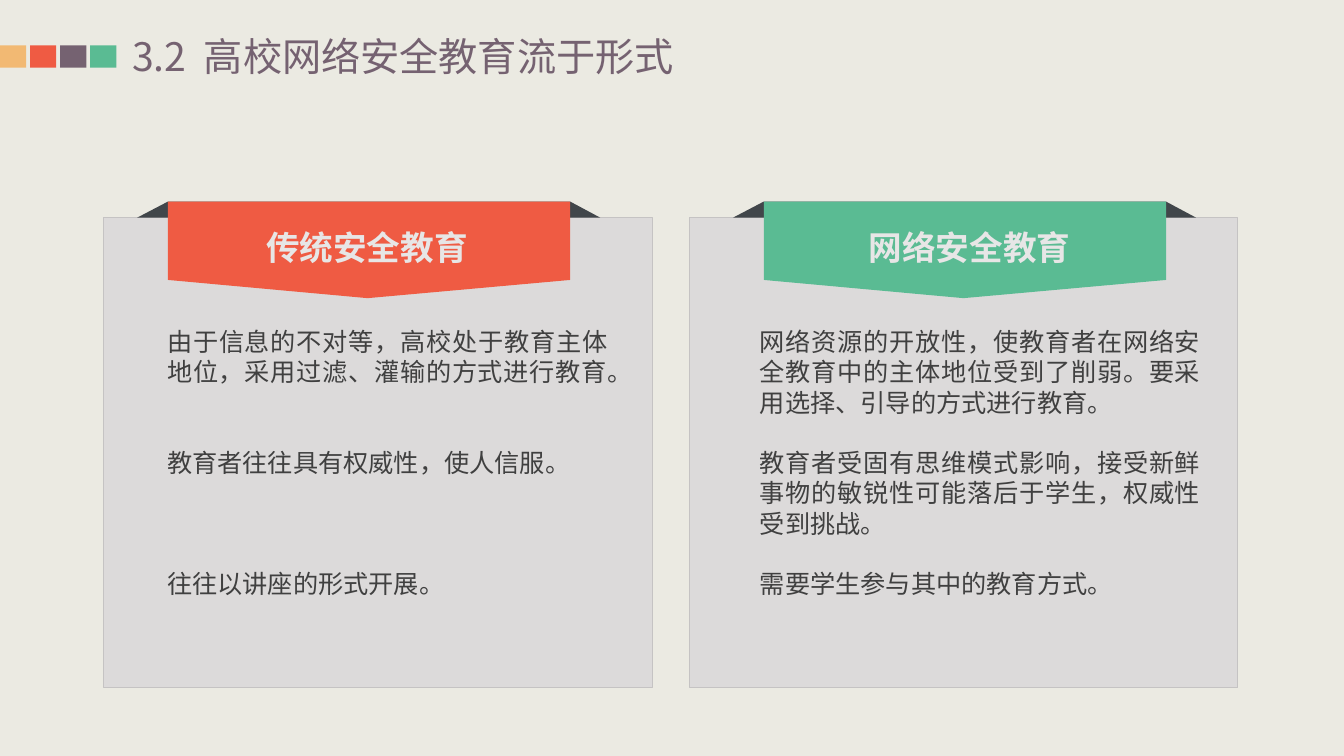
from pptx import Presentation
from pptx import util as u
from pptx.dml import color
from pptx.enum import shapes, text
from pptx.oxml import ns

Pt = u.Pt
FONT = "Noto Sans CJK SC"
COLORS = {
    "background": "EBEAE2", "yellow": "F2B973", "red": "EF5B43",
    "purple": "756271", "green": "5ABB93", "card": "DCDADA",
    "border": "C5C3C3", "fold": "41464A", "label": "E7E6E6", "body": "404040",
}
LINE = 21.6        # body line pitch
BLOCK_LINES = 4    # lines reserved for each point, so both cards align
BANNER_TOP, BANNER_WIDTH = 144, 287.3

# Each point: its wording and the number of lines it fills
COLUMNS = [
    {"color": "red", "card": 74.2, "banner": 120, "center": 262.1, "body": 112.3,
     "label": "传统安全教育",
     "points": [("由于信息的不对等，高校处于教育主体地位，采用过滤、灌输的方式进行教育。", 2),
                ("教育者往往具有权威性，使人信服。", 1),
                ("往往以讲座的形式开展。", 1)]},
    {"color": "green", "card": 492.5, "banner": 545.6, "center": 692.6, "body": 535.7,
     "label": "网络安全教育",
     "points": [("网络资源的开放性，使教育者在网络安全教育中的主体地位受到了削弱。要采用选择、引导的方式进行教育。", 3),
                ("教育者受固有思维模式影响，接受新鲜事物的敏锐性可能落后于学生，权威性受到挑战。", 3),
                ("需要学生参与其中的教育方式。", 1)]},
]


def rgb(name):
    return color.RGBColor.from_string(COLORS[name])


def paint(shape, fill, border=None):
    shape.shadow.inherit = False
    shape.fill.solid()
    shape.fill.fore_color.rgb = rgb(fill)
    if border:
        shape.line.color.rgb = rgb(border)
        shape.line.width = Pt(0.75)
    else:
        shape.line.fill.background()


def add_block(slide, left, top, width, height, fill, border=None):
    block = slide.shapes.add_shape(
        shapes.MSO_SHAPE.RECTANGLE, Pt(left), Pt(top), Pt(width), Pt(height))
    paint(block, fill, border)


def add_outline(slide, left, top, corners, fill):
    """Closed polygon; corners are relative to left and top."""
    points = [(Pt(left + x), Pt(top + y)) for x, y in corners]
    builder = slide.shapes.build_freeform(*points[0], scale=1.0)
    builder.add_line_segments(points[1:], close=True)
    paint(builder.convert_to_shape(), fill)


def add_frame(slide, left, top, width, height, inset=True, middle=False):
    frame = slide.shapes.add_textbox(Pt(left), Pt(top), Pt(width), Pt(height)).text_frame
    frame.word_wrap = True
    if not inset:
        frame.margin_left = frame.margin_right = frame.margin_top = frame.margin_bottom = 0
    if middle:
        frame.vertical_anchor = text.MSO_ANCHOR.MIDDLE
    return frame


def add_run(paragraph, words, size, tone, bold=False):
    run = paragraph.add_run()
    run.text = words
    run.font.size = Pt(size)
    run.font.bold = bold
    run.font.color.rgb = rgb(tone)
    run.font.name = FONT
    properties = run.font._element
    east_asian = properties.makeelement(ns.qn("a:ea"), {"typeface": FONT})
    properties.find(ns.qn("a:latin")).addnext(east_asian)
    return run


def add_header(slide):
    for i, tone in enumerate(["yellow", "red", "purple", "green"]):
        add_block(slide, 21.5 * i, 32.4, 18.7, 16, tone)
    heading = add_frame(slide, 94.3, 23, 470, 33.8, inset=False, middle=True).paragraphs[0]
    add_run(heading, "3.2", 28, "purple")
    gap = add_run(heading, " ", 28, "purple")
    gap.font._element.set("spc", "630")  # widen the gap after the number
    add_run(heading, "高校网络安全教育流于形式", 28, "purple")


def add_banner(slide, column):
    left, right = column["banner"], BANNER_WIDTH
    add_outline(slide, left, BANNER_TOP,
                [(0, 0), (right, 0), (right + 21.5, 11.5), (-22, 11.5)], "fold")
    add_outline(slide, left, BANNER_TOP,
                [(0, 0), (right, 0), (right, 56), (142.6, 69), (0, 56)], column["color"])
    label = add_frame(slide, column["center"] - 97, 158.4, 194, 36, middle=True).paragraphs[0]
    label.alignment = text.PP_ALIGN.CENTER
    add_run(label, column["label"], 24, "label", bold=True)


def add_points(slide, column):
    frame = add_frame(slide, column["body"], 229.6, 329, 204)
    for i, (words, lines) in enumerate(column["points"]):
        point = frame.add_paragraph() if i else frame.paragraphs[0]
        point.alignment = text.PP_ALIGN.JUSTIFY
        point.line_spacing = Pt(LINE)
        point.space_after = Pt((BLOCK_LINES - lines) * LINE)
        add_run(point, words, 18, "body")


def main():
    deck = Presentation()
    deck.slide_width, deck.slide_height = Pt(960), Pt(540)
    slide = deck.slides.add_slide(deck.slide_layouts[6])
    slide.background.fill.solid()
    slide.background.fill.fore_color.rgb = rgb("background")

    # Title row
    add_header(slide)

    # Two compared approaches
    for column in COLUMNS:
        add_block(slide, column["card"], 155.7, 391.7, 335.5, "card", "border")
        add_banner(slide, column)
        add_points(slide, column)

    deck.save("out.pptx")


if __name__ == "__main__":
    main()
